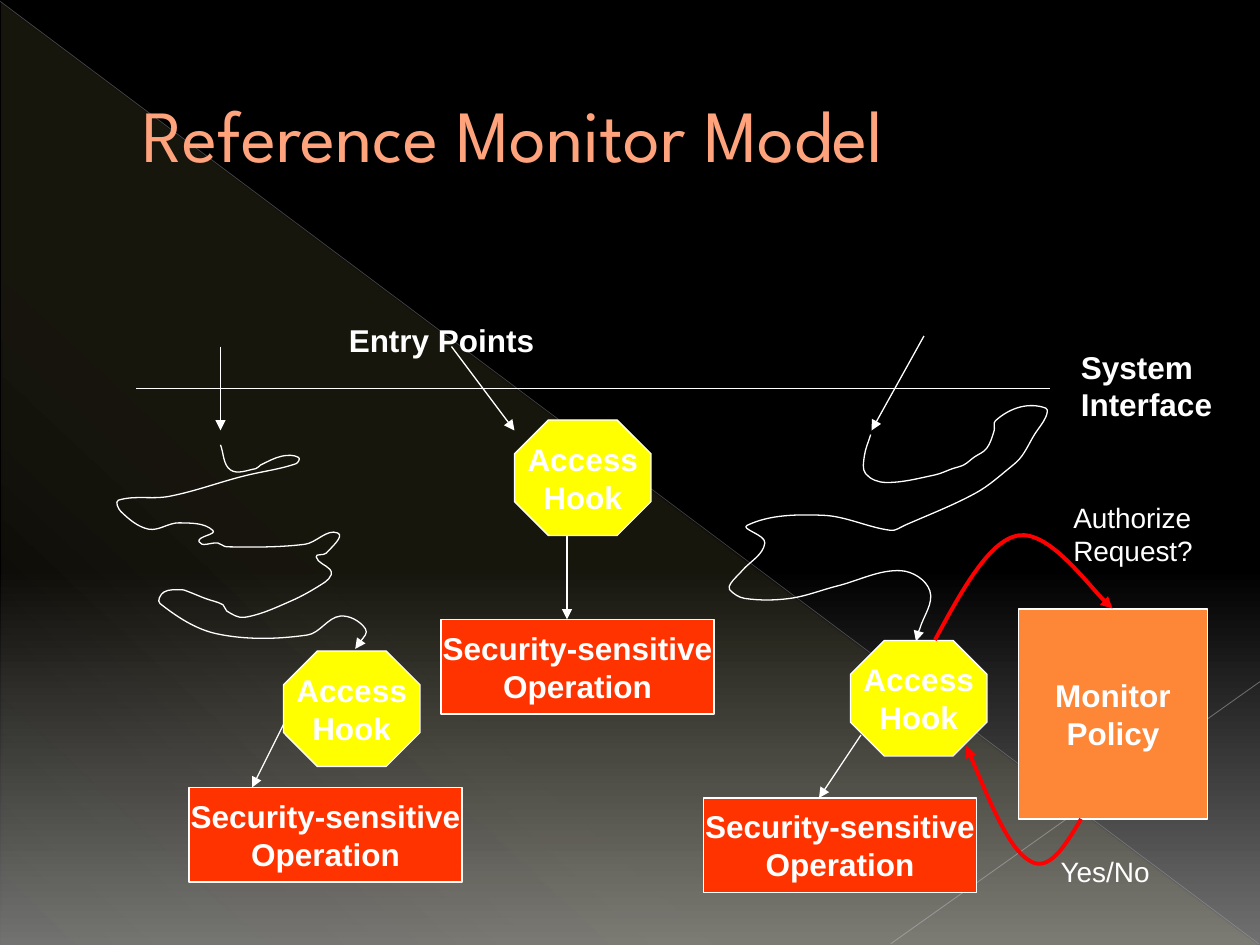
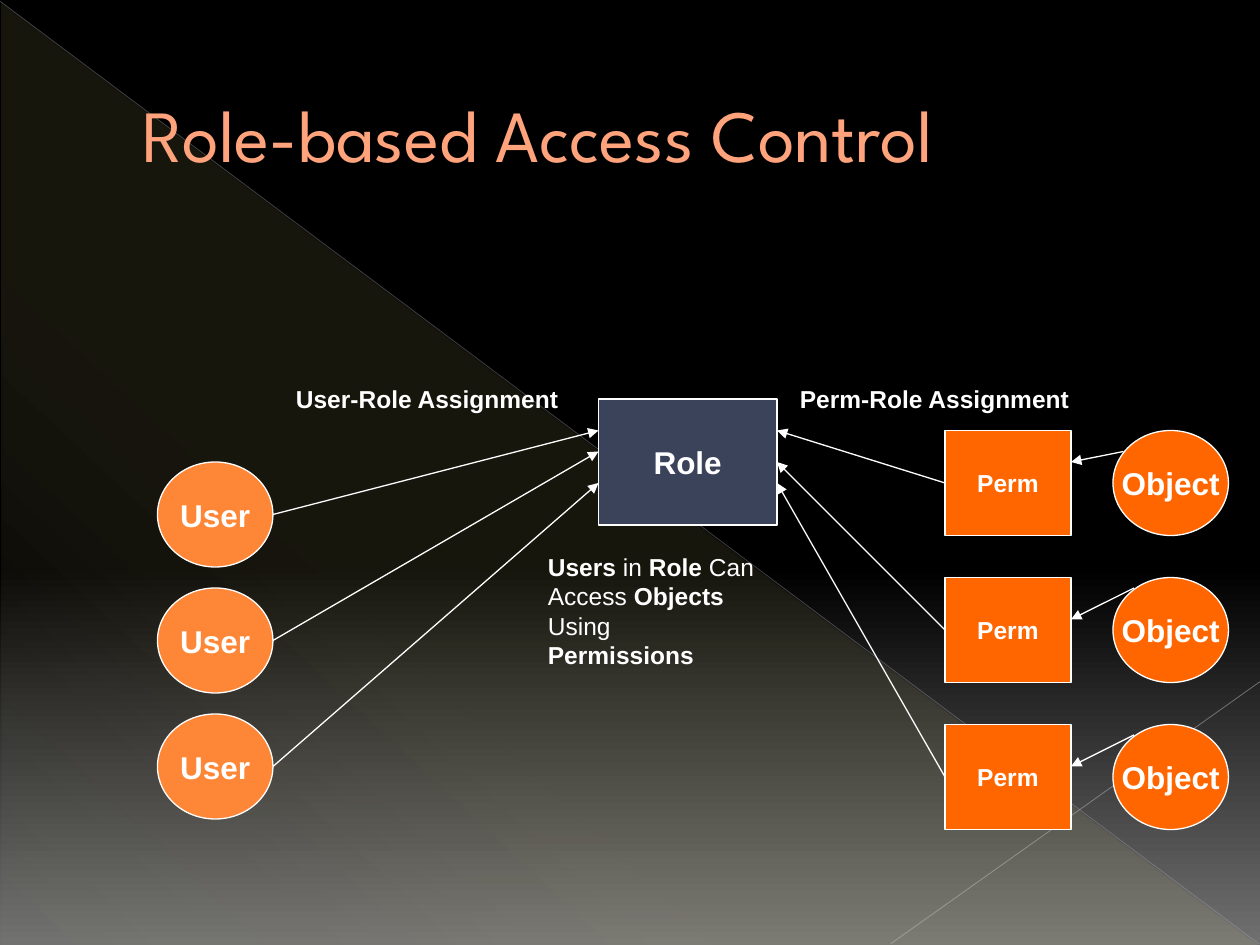
import math

import pptx
import pptx.dml.color
import pptx.enum.shapes
import pptx.enum.text
import pptx.oxml.ns
import pptx.util
from lxml import etree

Inches = pptx.util.Inches
RGB = pptx.dml.color.RGBColor
SHAPE = pptx.enum.shapes.MSO_SHAPE
ALIGN = pptx.enum.text.PP_ALIGN
qn = pptx.oxml.ns.qn

BLACK = RGB(0x00, 0x00, 0x00)
GRAY = RGB(0x70, 0x70, 0x70)
WHITE = RGB(0xFF, 0xFF, 0xFF)
GLOW = RGB(0xFF, 0xF3, 0x9D)
UPPER_RAY = RGB(0xBA, 0xBD, 0xC4)
LOWER_RAY = RGB(0xC1, 0xC4, 0xCA)
PEACH = RGB(0xFF, 0xA3, 0x7C)
LIGHT_ORANGE = RGB(0xFE, 0x86, 0x37)
ORANGE = RGB(0xFF, 0x66, 0x00)
ORANGE_RED = RGB(0xFF, 0x33, 0x00)
YELLOW = RGB(0xFF, 0xFF, 0x00)
RED = RGB(0xFF, 0x00, 0x00)
NAVY = RGB(0x3B, 0x43, 0x5B)

TITLE_FONT = "League Spartan"
BODY_FONT = "Arial"

# Points of the winding paths, in inches from the corner of their region
LEFT_PATH = [
    (.81, 0), (.89, .2), (1.09, .19), (1.13, .16), (1.3, .09), (1.43, .1),
    (1.41, .15), (1.03, .24), (.95, .26), (.4, .41), (0, .44), (.02, .53),
    (.24, .67), (.48, .62), (.75, .68), (.64, .77), (.79, .78), (.86, .81),
    (1.48, .79), (1.74, .7), (1.65, .86), (1.57, .89), (1.68, .99),
    (1.69, 1.03), (1.64, 1.09), (1.37, 1.24), (1, 1.37), (.86, 1.32),
    (.83, 1.27), (.69, 1.22), (.54, 1.16), (.5, 1.15), (.36, 1.17),
    (.33, 1.26), (.78, 1.5), (1.5, 1.51), (1.76, 1.36), (1.96, 1.46),
    (1.91, 1.58), (1.88, 1.62)]
RIGHT_PATH = [
    (1.13, .23), (1.08, .4), (1.09, .54), (1.25, .61), (1.64, .55),
    (1.78, .5), (1.87, .47), (1.95, .41), (2.05, .34), (2.11, .2),
    (2.12, .12), (2.32, .01), (2.52, .02), (2.52, .09), (2.43, .23),
    (2.33, .4), (2.25, .48), (1.97, .69), (1.4, .95), (1.29, .99),
    (.75, .87), (.15, .95), (.29, 1.09), (.11, 1.31), (.02, 1.41),
    (.01, 1.46), (.13, 1.53), (.49, 1.53), (.87, 1.43), (1.37, 1.31),
    (1.6, 1.47), (1.52, 1.77), (1.5, 1.82), (1.49, 1.87)]
# Bézier points: each anchor is followed by two handles
REQUEST_CURVE = [(0, .87), (.21, .48), (.43, .08), (.66, .04),
                 (.9, 0), (1.29, .53), (1.41, .62)]
ANSWER_CURVE = [(.91, .58), (.78, .8), (.65, 1.01), (.5, .91),
                (.34, .82), (.17, .41), (0, 0)]


def snap(inches):
    """Place nodes and arrows on a grid of twelve steps to the inch."""
    return Inches(round(inches * 12) / 12)


def set_alpha(color_element, percent):
    etree.SubElement(color_element, qn("a:alpha")).set("val", str(percent * 1000))


def set_gradient(fill, owner, stops, angle):
    """Give fill, found inside the element owner, (position, color, opacity) stops."""
    fill.gradient()
    grad = owner.find(".//" + qn("a:gradFill"))
    stop_list = grad.find(qn("a:gsLst"))
    for gs in list(stop_list):
        stop_list.remove(gs)
    for position, color, opacity in stops:
        gs = etree.SubElement(stop_list, qn("a:gs"), pos=str(position * 1000))
        clr = etree.SubElement(gs, qn("a:srgbClr"), val=str(color))
        if opacity < 100:
            set_alpha(clr, opacity)
    grad.find(qn("a:lin")).set("ang", str(angle * 60000))


def add_arrowhead(line):
    etree.SubElement(line._get_or_add_ln(), qn("a:tailEnd"), type="triangle")


def add_connector(slide, ends, color, width):
    sp = slide.shapes.add_connector(pptx.enum.shapes.MSO_CONNECTOR.STRAIGHT, *ends)
    sp.line.color.rgb = color
    sp.line.width = pptx.util.Pt(width)
    etree.SubElement(sp._element.spPr, qn("a:effectLst"))
    return sp


def add_line(slide, start, end, arrow=True):
    sp = add_connector(slide, map(snap, (*start, *end)), WHITE, .75)
    if arrow:
        add_arrowhead(sp.line)


def add_ray(slide, start, end, color, width, opacity):
    sp = add_connector(slide, map(Inches, (*start, *end)), color, width)
    set_alpha(sp._element.find(".//" + qn("a:srgbClr")), opacity)


def with_handles(points):
    """Put two Bézier handles, a third of the span long, between neighbours."""
    tangents = []
    for i in range(len(points)):
        (x0, y0), (x1, y1) = points[max(i - 1, 0)], points[min(i + 1, len(points) - 1)]
        length = math.hypot(x1 - x0, y1 - y0)
        tangents.append(((x1 - x0) / length, (y1 - y0) / length))
    curve = [points[0]]
    for p, q, u, v in zip(points, points[1:], tangents, tangents[1:]):
        h = math.dist(p, q) / 3
        curve += [(p[0] + h * u[0], p[1] + h * u[1]),
                  (q[0] - h * v[0], q[1] - h * v[1]), q]
    return curve


def add_curve(slide, left, top, curve, color=WHITE, width=.75):
    curve = [(Inches(left + x), Inches(top + y)) for x, y in curve]
    anchors = curve[::3]
    builder = slide.shapes.build_freeform(*anchors[0])
    builder.add_line_segments(anchors[1:], close=False)
    sp = builder.convert_to_shape()
    for i, segment in enumerate(list(sp._element.iter(qn("a:lnTo")))):
        bezier = etree.Element(qn("a:cubicBezTo"))
        for x, y in curve[3 * i + 1:3 * i + 4]:
            etree.SubElement(bezier, qn("a:pt"), x=str(x - sp.left), y=str(y - sp.top))
        segment.getparent().replace(segment, bezier)
    sp.shadow.inherit = False
    sp.fill.background()
    sp.line.color.rgb = color
    sp.line.width = pptx.util.Pt(width)
    add_arrowhead(sp.line)


def write(tf, lines, size, bold=True, align=ALIGN.LEFT, color=WHITE, font=BODY_FONT):
    """Write lines; a line is a string, or a list of (text, bold) runs."""
    for i, line in enumerate(lines):
        p = tf.add_paragraph() if i else tf.paragraphs[0]
        p.alignment = align
        for text, is_bold in [(line, bold)] if isinstance(line, str) else line:
            r = p.add_run()
            r.text = text
            r.font.name, r.font.size = font, pptx.util.Pt(size)
            r.font.bold, r.font.color.rgb = is_bold, color


def add_label(slide, box, lines, size, bold=True, wrap=False):
    tf = slide.shapes.add_textbox(*map(Inches, box)).text_frame
    tf.word_wrap = wrap
    if not wrap:
        tf.auto_size = pptx.enum.text.MSO_AUTO_SIZE.SHAPE_TO_FIT_TEXT
    write(tf, lines, size, bold)


def add_node(slide, kind, box, color, lines, size=18):
    sp = slide.shapes.add_shape(kind, *map(snap, box))
    sp.shadow.inherit = False
    sp.fill.solid()
    sp.fill.fore_color.rgb = color
    sp.line.color.rgb = WHITE
    sp.line.width = pptx.util.Pt(.75)
    tf = sp.text_frame
    tf.word_wrap = False
    tf.vertical_anchor = pptx.enum.text.MSO_ANCHOR.MIDDLE
    write(tf, lines, size, align=ALIGN.CENTER)
    return sp


def new_slide(prs, title):
    """Add a slide with the shared background, light rays and title."""
    slide = prs.slides.add_slide(prs.slide_layouts[6])
    set_gradient(slide.background.fill, slide._element,
                 [(0, BLACK, 100), (60, BLACK, 100), (100, GRAY, 100)], 90)
    sp = slide.shapes.add_shape(
        SHAPE.RIGHT_TRIANGLE, *map(Inches, (.01, .02, 9.98, 7.48)))
    sp.shadow.inherit = False
    sp.line.fill.background()
    set_gradient(sp.fill, sp._element,
                 [(0, GLOW, 10), (70, GLOW, 8), (100, GLOW, 1)], 133)
    add_ray(slide, (0, .01), (9.99, 7.49), UPPER_RAY, .39, 35)
    add_ray(slide, (10, 5.41), (7.07, 7.49), LOWER_RAY, .47, 45)

    tf = slide.shapes.add_textbox(*map(Inches, (.5, .29, 9, 1.53))).text_frame
    tf.word_wrap = True
    tf.margin_left = Inches(.63)
    tf.vertical_anchor = pptx.enum.text.MSO_ANCHOR.MIDDLE
    write(tf, [title], 42, False, color=PEACH, font=TITLE_FONT)
    return slide


def system_interface(slide, left, top):
    """Draw the interface line with the entry points that cross it."""
    add_line(slide, (left, top), (left + 7.25, top), arrow=False)
    add_label(slide, (left + 7.4, top - .37, 1.24, .7), ["System", "Interface"], 18)
    for x0, y0, x1 in [(.67, -.33, .67), (2.5, -.33, 3), (6.25, -.41, 5.84)]:
        add_line(slide, (left + x0, top + y0), (left + x1, top + .34))
    add_label(slide, (left + 1.59, top - .58, 1.67, .4), ["Entry Points"], 18)


def guarded_operation(slide, left, top, operation, arrow_start, arrow_end):
    """Draw an access hook at left, top; the rest is given as offsets from it."""
    hook = add_node(slide, SHAPE.OCTAGON, (left, top, 1.08, .92), YELLOW,
                    ["Access", "Hook"])
    hook.adjustments[0] = .293
    dx, dy = operation
    add_node(slide, SHAPE.RECTANGLE, (left + dx, top + dy, 2.17, .75), ORANGE_RED,
             ["Security-sensitive", "Operation"])
    start, end = [(left + x, top + y) for x, y in (arrow_start, arrow_end)]
    add_line(slide, start, end)


def monitor(slide, left, top):
    """Draw the policy box with the request and answer that reach it."""
    add_node(slide, SHAPE.RECTANGLE, (left, top, 1.5, 1.67), LIGHT_ORANGE,
             ["Monitor", "Policy"])
    add_curve(slide, left - .66, top - .62, REQUEST_CURVE, RED, 2.25)
    add_label(slide, (left + .34, top - .91, 1.2, .64),
              ["Authorize", "Request?"], 16, False)
    add_curve(slide, left - .41, top + 1.09, ANSWER_CURVE, RED, 2.25)
    add_label(slide, (left + .24, top + 1.9, .93, .37), ["Yes/No"], 16, False)


def reference_monitor_slide(prs):
    slide = new_slide(prs, "Reference Monitor Model")
    system_interface(slide, 1.08, 3.08)
    guarded_operation(slide, 2.25, 5.17, (-.75, 1.08), (0, .58), (-.25, 1.08))
    guarded_operation(slide, 4.08, 3.33, (-.58, 1.59), (.42, .92), (.42, 1.59))
    guarded_operation(slide, 6.75, 5.08, (-1.17, 1.25), (.08, .75), (-.25, 1.25))
    add_curve(slide, .94, 3.53, with_handles(LEFT_PATH))
    add_curve(slide, 5.78, 3.22, with_handles(RIGHT_PATH))
    monitor(slide, 8.08, 4.83)


def user_column(slide, left, top, role_left, role_ports):
    for i, port in enumerate(role_ports):
        y = top + i
        add_node(slide, SHAPE.OVAL, (left, y, .92, .83), LIGHT_ORANGE, ["User"])
        add_line(slide, (left + .92, y + .41), (role_left, port))


def permission_column(slide, left, top, role_right, role_ports):
    """Draw rows of a permission, its object, and the arrows to the role."""
    object_links = [(1.42, .16, .25), (1.5, .09, .34), (1.5, .08, .33)]
    for i, (port, (x, y0, y1)) in enumerate(zip(role_ports, object_links)):
        y = top + i * 7 / 6
        add_node(slide, SHAPE.OVAL, (left + 1.33, y, .92, .83), ORANGE, ["Object"])
        add_node(slide, SHAPE.RECTANGLE, (left, y, 1, .83), ORANGE, ["Perm"], 14)
        add_line(slide, (left + x, y + y0), (left + 1, y + y1))
        add_line(slide, (left, y + .41), (role_right, port))


def role_center(slide, left, top, width):
    add_node(slide, SHAPE.RECTANGLE, (left, top, width, 1), NAVY, ["Role"])
    add_label(slide, (left - 2.5, top - .17, 2.3, .33), ["User-Role Assignment"], 14)
    add_label(slide, (left + 1.5, top - .17, 2.34, .33), ["Perm-Role Assignment"], 14)
    add_label(slide, (left - .5, top + 1.16, 2.1, .8), [
        [("Users", True), (" in ", False), ("Role", True), (" Can", False)],
        [("Access ", False), ("Objects", True), (" Using", False)],
        "Permissions"], 14, wrap=True)


def role_based_slide(prs):
    slide = new_slide(prs, "Role-based Access Control")
    role_left, role_top, role_width = 4.75, 3.17, 1.42
    user_column(slide, 1.25, 3.67, role_left, [3.42, 3.58, 3.83])
    permission_column(slide, 7.5, 3.42, role_left + role_width, [3.42, 3.67, 3.83])
    role_center(slide, role_left, role_top, role_width)


def main():
    prs = pptx.Presentation()
    prs.slide_width, prs.slide_height = Inches(10), Inches(7.5)
    reference_monitor_slide(prs)
    role_based_slide(prs)
    prs.save("out.pptx")


if __name__ == "__main__":
    main()
